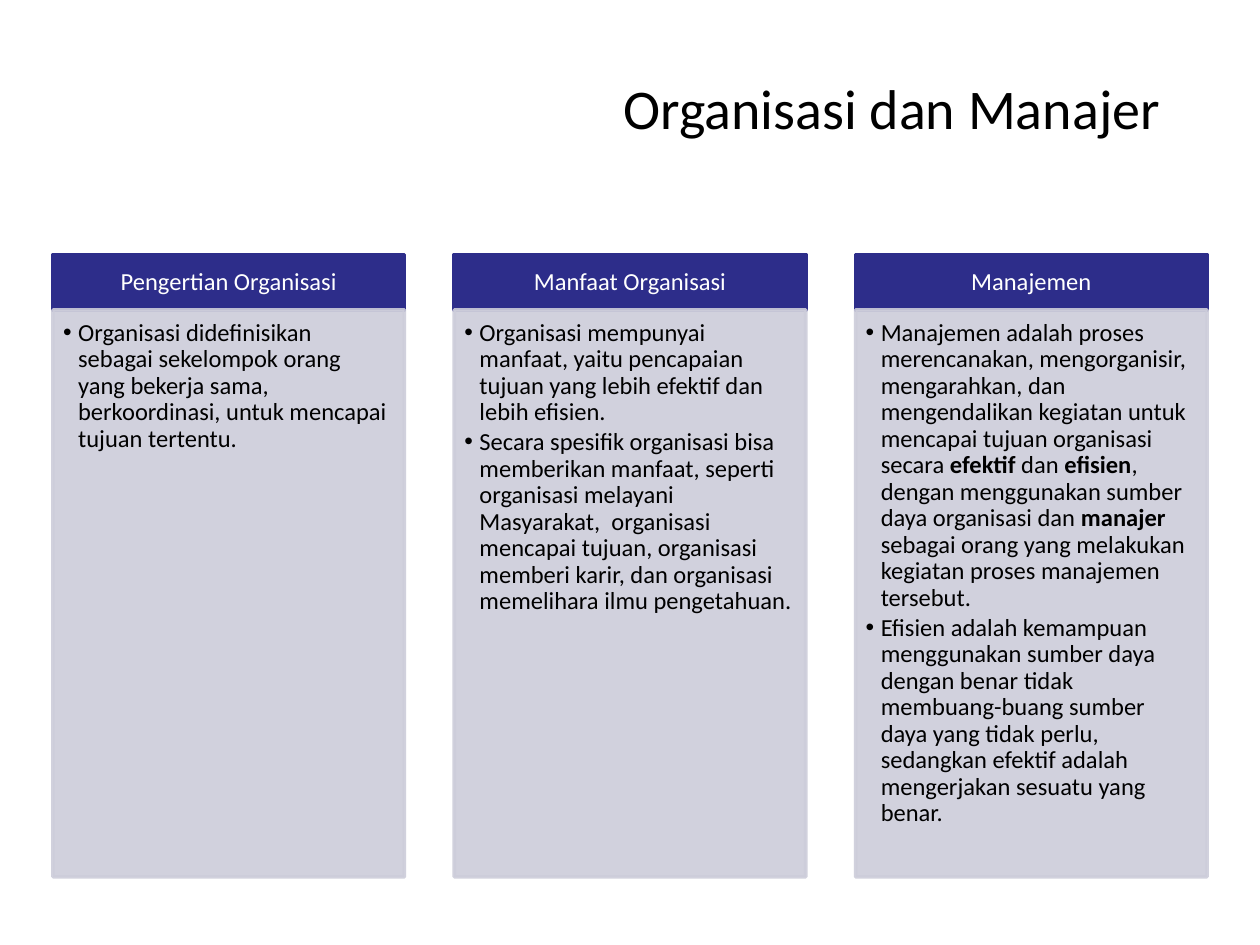
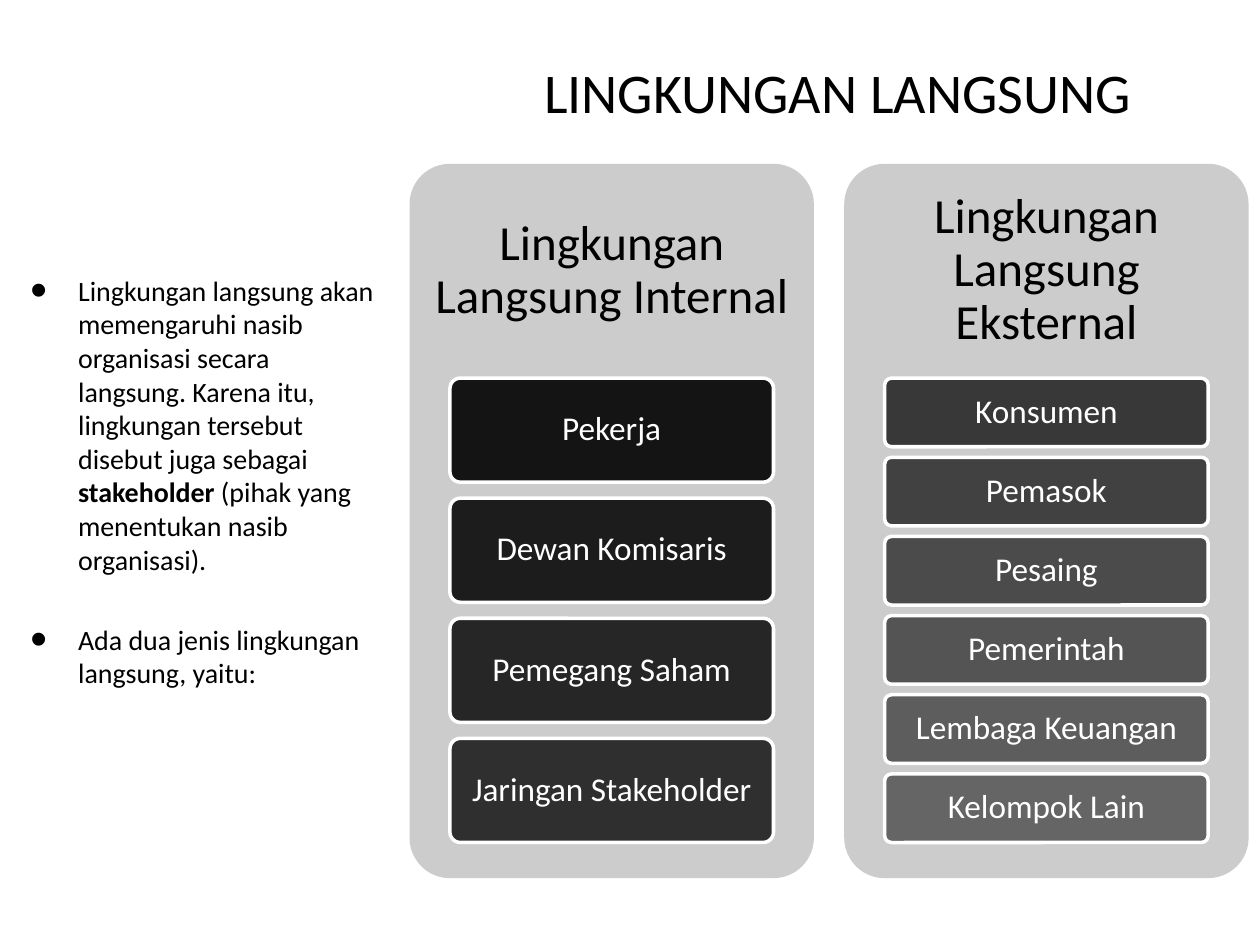
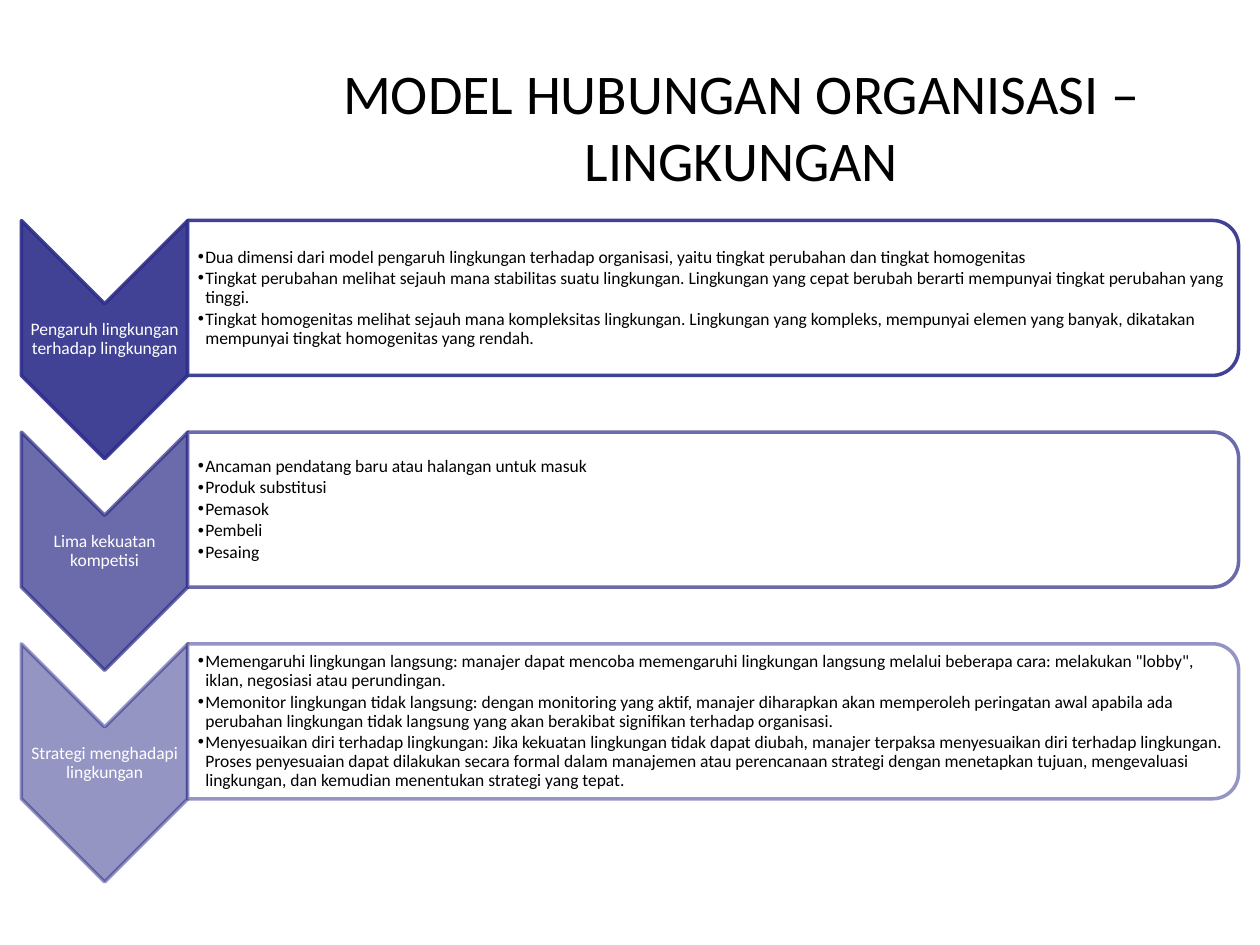
from dataclasses import dataclass

from lxml import etree
from pptx import Presentation
from pptx import util as u
from pptx.dml.color import RGBColor
from pptx.enum import shapes, text
from pptx.oxml import ns


@dataclass(frozen=True)
class Theme:
    font: str = "Calibri"
    ink: str = "000000"
    paper: str = "FFFFFF"
    indigo: str = "2D2D8A"
    lavender: str = "CDCDDA"
    silver: str = "CCCCCC"
    title: int = 32
    card: int = 28
    item: int = 19
    lead: int = 16
    panel: int = 14
    step: int = 10
    outline: int = 2


THEME = Theme()
SHAPE = shapes.MSO_SHAPE
MIDDLE = text.MSO_ANCHOR.MIDDLE
CENTER = text.PP_ALIGN.CENTER
RIGHT = text.PP_ALIGN.RIGHT

COLUMNS = [
    ("Pengertian Organisasi", [
        "Organisasi didefinisikan sebagai sekelompok orang yang bekerja sama, "
        "berkoordinasi, untuk mencapai tujuan tertentu.",
    ]),
    ("Manfaat Organisasi", [
        "Organisasi mempunyai manfaat, yaitu pencapaian tujuan yang lebih efektif "
        "dan lebih efisien.",
        "Secara spesifik organisasi bisa memberikan manfaat, seperti organisasi "
        "melayani Masyarakat,  organisasi mencapai tujuan, organisasi memberi karir, "
        "dan organisasi memelihara ilmu pengetahuan.",
    ]),
    ("Manajemen", [
        "Manajemen adalah proses merencanakan, mengorganisir, mengarahkan, dan "
        "mengendalikan kegiatan untuk mencapai tujuan organisasi secara **efektif** "
        "dan **efisien**, dengan menggunakan sumber daya organisasi dan **manajer **"
        "sebagai orang yang melakukan kegiatan proses manajemen tersebut.",
        "Efisien adalah kemampuan menggunakan sumber daya dengan benar tidak "
        "membuang-buang sumber daya yang tidak perlu, sedangkan efektif adalah "
        "mengerjakan sesuatu yang benar.",
    ]),
]

LEAD = [
    "Lingkungan langsung akan memengaruhi nasib organisasi secara langsung. Karena "
    "itu, lingkungan tersebut disebut juga sebagai **stakeholder** (pihak yang "
    "menentukan nasib organisasi).",
    "Ada dua jenis lingkungan langsung, yaitu:",
]

CARDS = [
    ("Lingkungan Langsung Internal",
     ["Pekerja", "Dewan Komisaris", "Pemegang Saham", "Jaringan Stakeholder"]),
    ("Lingkungan Langsung Eksternal",
     ["Konsumen", "Pemasok", "Pesaing", "Pemerintah", "Lembaga Keuangan",
      "Kelompok Lain"]),
]

STEPS = [
    ("Pengaruh lingkungan terhadap lingkungan", 90, [
        "Dua dimensi dari model pengaruh lingkungan terhadap organisasi, yaitu tingkat "
        "perubahan dan tingkat homogenitas",
        "Tingkat perubahan melihat sejauh mana stabilitas suatu lingkungan. Lingkungan "
        "yang cepat berubah berarti mempunyai tingkat perubahan yang tinggi.",
        "Tingkat homogenitas melihat sejauh mana kompleksitas lingkungan. Lingkungan "
        "yang kompleks, mempunyai elemen yang banyak, dikatakan mempunyai tingkat "
        "homogenitas yang rendah.",
    ]),
    ("Lima kekuatan kompetisi", 70, [
        "Ancaman pendatang baru atau halangan untuk masuk",
        "Produk substitusi",
        "Pemasok",
        "Pembeli",
        "Pesaing",
    ]),
    ("Strategi menghadapi lingkungan", 50, [
        "Memengaruhi lingkungan langsung: manajer dapat mencoba memengaruhi lingkungan "
        "langsung melalui beberapa cara: melakukan \"lobby\", iklan, negosiasi atau "
        "perundingan.",
        "Memonitor lingkungan tidak langsung: dengan monitoring yang aktif, manajer "
        "diharapkan akan memperoleh peringatan awal apabila ada perubahan lingkungan "
        "tidak langsung yang akan berakibat signifikan terhadap organisasi.",
        "Menyesuaikan diri terhadap lingkungan: Jika kekuatan lingkungan tidak dapat "
        "diubah, manajer terpaksa menyesuaikan diri terhadap lingkungan. Proses "
        "penyesuaian dapat dilakukan secara formal dalam manajemen atau perencanaan "
        "strategi dengan menetapkan tujuan, mengevaluasi lingkungan, dan kemudian "
        "menentukan strategi yang tepat.",
    ]),
]


def place(box, left, top, width, height):
    box.left, box.top = u.Inches(left), u.Inches(top)
    box.width, box.height = u.Inches(width), u.Inches(height)


def set_frame(box, insets, anchor):
    frame = box.text_frame
    frame.word_wrap = True
    frame.auto_size = text.MSO_AUTO_SIZE.NONE
    frame.vertical_anchor = anchor
    frame.margin_left, frame.margin_top, frame.margin_right, frame.margin_bottom = (
        u.Inches(inset) for inset in insets)
    return frame


def set_bullet(para, margin, hanging, scale):
    properties = para._p.get_or_add_pPr()
    properties.set("marL", str(u.Inches(margin)))
    properties.set("indent", str(-u.Inches(hanging)))
    size = etree.SubElement(properties, ns.qn("a:buSzPct"))
    size.set("val", str(scale * 1000))
    etree.SubElement(properties, ns.qn("a:buFont")).set("typeface", "Arial")
    etree.SubElement(properties, ns.qn("a:buChar")).set("char", "•")


def write(box, paragraphs, size, color, insets, anchor=MIDDLE, align=None,
          bullet=None, spacing=0.9, before=0, after=0):
    frame = set_frame(box, insets, anchor)
    for index, content in enumerate(paragraphs):
        para = frame.paragraphs[0] if index == 0 else frame.add_paragraph()
        if bullet:
            set_bullet(para, *bullet)
        para.alignment = align
        para.line_spacing = spacing
        para.space_before = u.Pt(before if index else 0)
        para.space_after = u.Pt(after)
        for part, words in enumerate(content.split("**")):
            if words:
                span = para.add_run()
                span.text = words
                span.font.name = THEME.font
                span.font.size = u.Pt(size)
                span.font.bold = part % 2 == 1
                span.font.color.rgb = RGBColor.from_string(color)


def set_opacity(parent, percent):
    color = parent.find(ns.qn("a:solidFill"))[0]
    etree.SubElement(color, ns.qn("a:alpha")).set("val", str(round(percent * 1000)))


def add_block(page, kind, area, fill, line=None, opacity=100, line_opacity=100):
    block = page.shapes.add_shape(kind, *(u.Inches(length) for length in area))
    block.shadow.inherit = False
    block.fill.solid()
    block.fill.fore_color.rgb = RGBColor.from_string(fill)
    properties = block._element.spPr
    if opacity < 100:
        set_opacity(properties, opacity)
    if line is None:
        block.line.fill.background()
        return block
    block.line.color.rgb = RGBColor.from_string(line)
    block.line.width = u.Pt(THEME.outline)
    if line_opacity < 100:
        set_opacity(properties.find(ns.qn("a:ln")), line_opacity)
    return block


def add_turned_block(page, kind, area, *style):
    left, top, width, height = area
    shift = (width - height) / 2
    block = add_block(page, kind, (left + shift, top - shift, height, width), *style)
    block.rotation = 90
    return block


def add_label(page, area):
    return page.shapes.add_textbox(*(u.Inches(length) for length in area))


def add_page(deck, layout, title, area, align):
    page = deck.slides.add_slide(deck.slide_layouts.get_by_name(layout))
    place(page.shapes.title, *area)
    write(page.shapes.title, [title], THEME.title, THEME.ink, [0.04] * 4,
          align=align, spacing=1)
    return page


def add_column(page, left, heading, points):
    top, width, header_height = 2.02, 2.79, 0.44
    header = add_block(page, SHAPE.RECTANGLE, (left, top, width, header_height),
                       THEME.indigo, THEME.indigo)
    write(header, [heading], THEME.panel, THEME.paper, (0.11, 0.06, 0.11, 0.06),
          align=CENTER)
    panel = add_block(page, SHAPE.RECTANGLE, (left, top + header_height, width, 4.5),
                      THEME.lavender, THEME.lavender, 90, 90)
    write(panel, points, THEME.panel, THEME.ink, (0.08, 0.08, 0.11, 0.12),
          anchor=text.MSO_ANCHOR.TOP, align=text.PP_ALIGN.LEFT,
          bullet=(0.12, 0.12, 100), after=0.15 * THEME.panel)


def add_card(page, left, heading, items, opacities):
    top, width, height = 1.3, 3.21, 5.67
    card = add_block(page, SHAPE.ROUNDED_RECTANGLE, (left, top, width, height),
                     THEME.silver)
    card.adjustments[0] = 0.1
    write(add_label(page, (left, top, width, 0.3 * height)), [heading],
          THEME.card, THEME.ink, [0.12] * 4, align=CENTER)
    gap_ratio = 0.154
    item_height = 0.65 * height / (len(items) + gap_ratio * (len(items) - 1))
    for index, item in enumerate(items):
        item_top = top + 0.3 * height + index * item_height * (1 + gap_ratio)
        tile = add_block(page, SHAPE.ROUNDED_RECTANGLE,
                         (left + 0.1 * width, item_top, 0.8 * width, item_height),
                         THEME.ink, THEME.paper, next(opacities))
        tile.adjustments[0] = 0.1
        write(tile, [item], THEME.item, THEME.paper, (0.05, 0.04, 0.05, 0.04),
              align=CENTER)


def add_step(page, top, heading, opacity, points):
    left, width, callout_width = 0.17, 1.32, 8.34
    add_turned_block(page, SHAPE.CHEVRON, (left, top, width, 1.89),
                     THEME.indigo, THEME.indigo, opacity, opacity)
    write(add_label(page, (left, top + width / 2, width, 0.57)), [heading],
          THEME.step, THEME.paper, [0.01] * 4, align=CENTER)
    add_turned_block(page, SHAPE.ROUND_2_SAME_RECTANGLE,
                     (left + width, top, callout_width, 1.23),
                     THEME.paper, THEME.indigo, 90, opacity)
    write(add_label(page, (left + width, top + 0.06, callout_width - 0.06, 1.11)),
          points, THEME.step, THEME.ink, (0.08, 0.01, 0.01, 0.01),
          bullet=(0.06, 0.06, 100), after=0.15 * THEME.step)


def build_organisation(deck):
    page = add_page(deck, "Title Only", "Organisasi dan Manajer",
                    (3.75, 0.2, 5.5, 1.3), RIGHT)
    for index, (heading, points) in enumerate(COLUMNS):
        add_column(page, 0.42 + 3.185 * index, heading, points)


def build_environment(deck):
    page = add_page(deck, "Title and Content", "LINGKUNGAN LANGSUNG",
                    (1.75, 0.2, 7.27, 1.05), RIGHT)
    body = page.placeholders[1]
    place(body, 0, 2.13, 3.08, 4.39)
    write(body, LEAD, THEME.lead, THEME.ink, [0.04] * 4,
          anchor=text.MSO_ANCHOR.TOP, bullet=(0.58, 0.38, 171), spacing=1, before=26.7)
    total = sum(len(items) for _, items in CARDS)
    opacities = (90 - 40 * index / (total - 1) for index in range(total))
    for index, (heading, items) in enumerate(CARDS):
        add_card(page, 3.25 + 3.45 * index, heading, items, opacities)


def build_model(deck):
    page = add_page(deck, "Title Only", "MODEL HUBUNGAN ORGANISASI – LINGKUNGAN",
                    (2.25, 0.47, 7.27, 1.05), CENTER)
    for index, (heading, opacity, points) in enumerate(STEPS):
        add_step(page, 1.75 + 1.68 * index, heading, opacity, points)


def main():
    deck = Presentation()
    deck.slide_width, deck.slide_height = u.Inches(10), u.Inches(7.5)
    build_organisation(deck)
    build_environment(deck)
    build_model(deck)
    deck.save("out.pptx")


if __name__ == "__main__":
    main()
